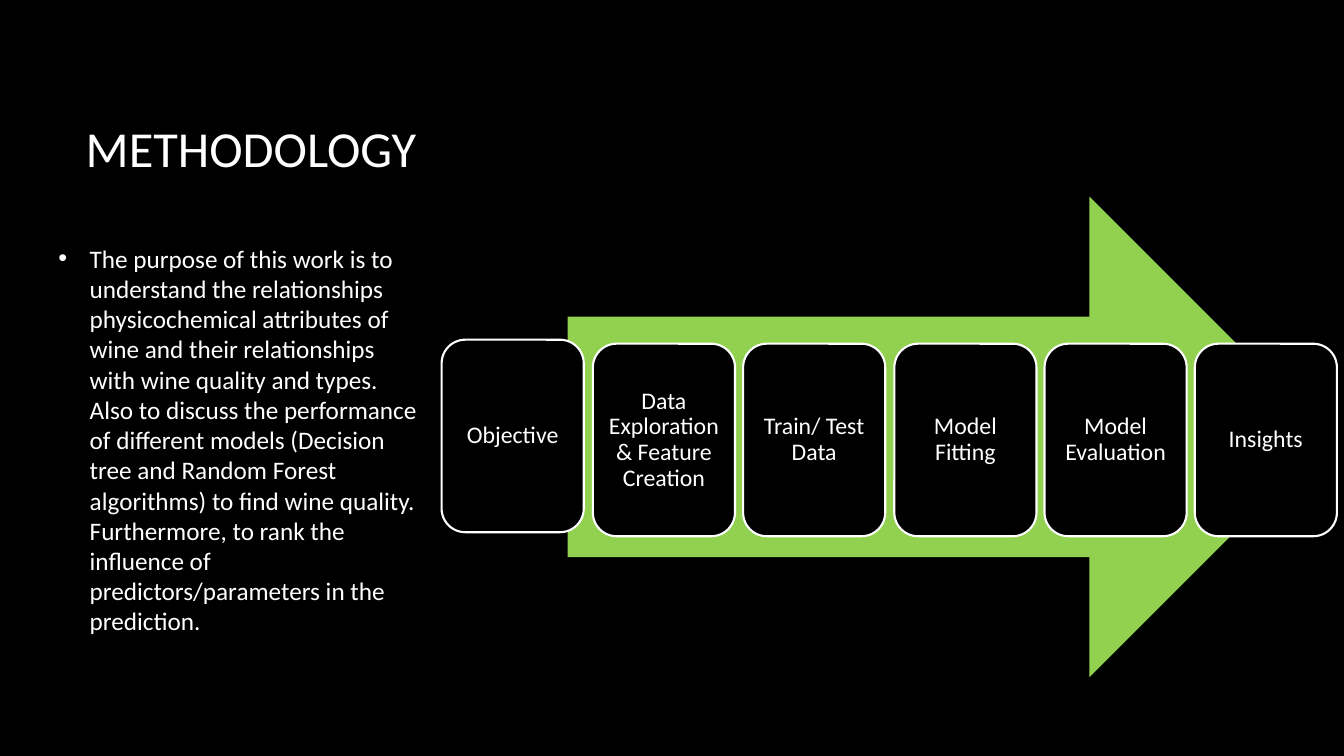
from math import ceil

from lxml import etree
from pptx import Presentation
from pptx.dml.color import RGBColor
from pptx.enum.shapes import MSO_SHAPE
from pptx.enum.text import MSO_ANCHOR, MSO_AUTO_SIZE, PP_ALIGN
from pptx.oxml.ns import qn
from pptx.util import Pt

TITLE = "METHODOLOGY"
PURPOSE = (
    "The purpose of this work is to understand the relationships physicochemical "
    "attributes of wine and their relationships with wine quality and types. Also to "
    "discuss the performance of different models (Decision tree and Random Forest "
    "algorithms) to find wine quality. Furthermore, to rank the influence of "
    "predictors/parameters in the prediction."
)
STAGES = [
    "Objective",
    "Data Exploration & Feature Creation",
    "Train/ Test Data",
    "Model Fitting",
    "Model Evaluation",
    "Insights",
]

BLACK = RGBColor(0x00, 0x00, 0x00)
WHITE = RGBColor(0xFF, 0xFF, 0xFF)
GREEN = RGBColor(0x92, 0xD0, 0x50)
FONT = "Calibri"
ARROW = MSO_SHAPE.RIGHT_ARROW
CARD = MSO_SHAPE.ROUNDED_RECTANGLE
MIDDLE = MSO_ANCHOR.MIDDLE
NO_FIT = MSO_AUTO_SIZE.NONE
LEFT = PP_ALIGN.LEFT
CENTER = PP_ALIGN.CENTER

PX = 9144
SLIDE_W, SLIDE_H = 1333, 750
TITLE_BOX = (75, 67, 1108, 159)
PURPOSE_BOX = (48, 166, 380, 540)
ARROW_BOX = (563, 195, 756, 477)
BULLET_INDENT = 31
CARD_W, CARD_H = 141, 191
FIRST_LEFT, LAST_LEFT = 438, 1185
FIRST_TOP, CARD_TOP = 337, 341
CARD_MARGIN = 6


def emu(box):
    return [length * PX for length in box]


def write(frame, text, size, align):
    frame.text = text
    frame.word_wrap = True
    frame.auto_size = NO_FIT
    frame.vertical_anchor = MIDDLE
    paragraph = frame.paragraphs[0]
    paragraph.alignment = align
    paragraph.space_before = Pt(0)
    paragraph.font.name = FONT
    paragraph.font.size = Pt(size)
    paragraph.font.color.rgb = WHITE
    return paragraph


def fill_placeholder(placeholder, box, text, size):
    placeholder.left, placeholder.top, placeholder.width, placeholder.height = emu(box)
    return write(placeholder.text_frame, text, size, LEFT)


def add_filled(slide, kind, box, color):
    shape = slide.shapes.add_shape(kind, *emu(box))
    shape.shadow.inherit = False
    shape.fill.solid()
    shape.fill.fore_color.rgb = color
    shape.line.fill.background()
    return shape


def add_bullet(paragraph):
    properties = paragraph._p.get_or_add_pPr()
    properties.set("marL", str(BULLET_INDENT * PX))
    properties.set("indent", str(-BULLET_INDENT * PX))
    bullet_color = etree.SubElement(properties, qn("a:buClr"))
    etree.SubElement(bullet_color, qn("a:srgbClr"), val=str(WHITE))
    etree.SubElement(properties, qn("a:buFont"), typeface="Arial")
    etree.SubElement(properties, qn("a:buChar"), char="•")
    properties.append(properties.find(qn("a:defRPr")))


def add_stage(slide, index, text):
    pitch = (LAST_LEFT - FIRST_LEFT) / (len(STAGES) - 1)
    left = FIRST_LEFT + ceil(index * pitch)
    top = CARD_TOP if index else FIRST_TOP
    card = add_filled(slide, CARD, (left, top, CARD_W, CARD_H), BLACK)
    card.line.color.rgb = WHITE
    card.line.width = Pt(1.5)
    frame = card.text_frame
    frame.margin_left = frame.margin_right = CARD_MARGIN * PX
    frame.margin_top = frame.margin_bottom = CARD_MARGIN * PX
    write(frame, text, 17, CENTER).line_spacing = 0.9


def main():
    deck = Presentation()
    deck.slide_width, deck.slide_height = emu((SLIDE_W, SLIDE_H))
    slide = deck.slides.add_slide(deck.slide_layouts[1])
    slide.background.fill.solid()
    slide.background.fill.fore_color.rgb = BLACK

    fill_placeholder(slide.shapes.title, TITLE_BOX, TITLE, 36)
    purpose = fill_placeholder(slide.placeholders[1], PURPOSE_BOX, PURPOSE, 18)
    purpose.space_after = Pt(10)
    add_bullet(purpose)

    add_filled(slide, ARROW, ARROW_BOX, GREEN)
    for index, stage in enumerate(STAGES):
        add_stage(slide, index, stage)
    deck.save("out.pptx")


if __name__ == "__main__":
    main()
